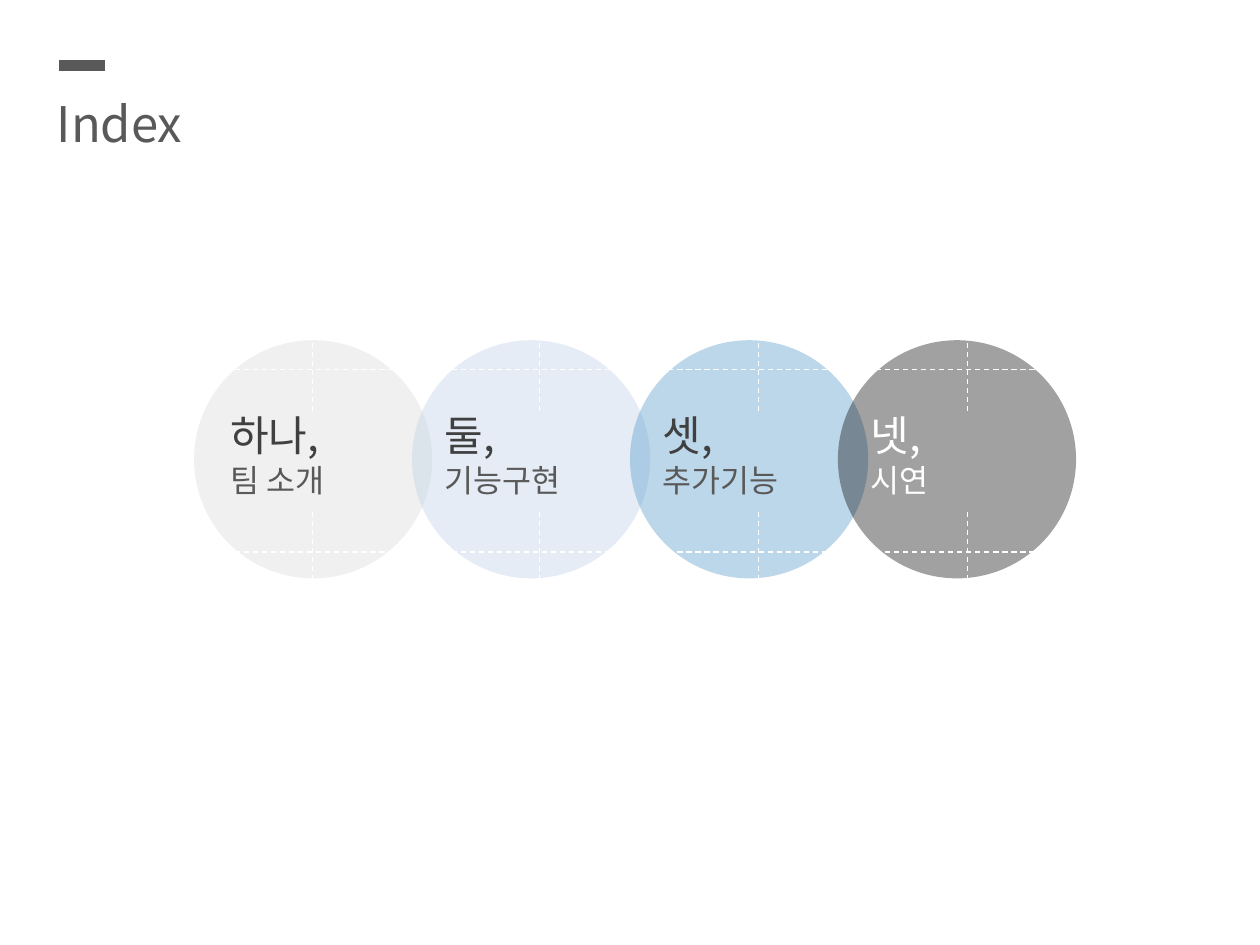
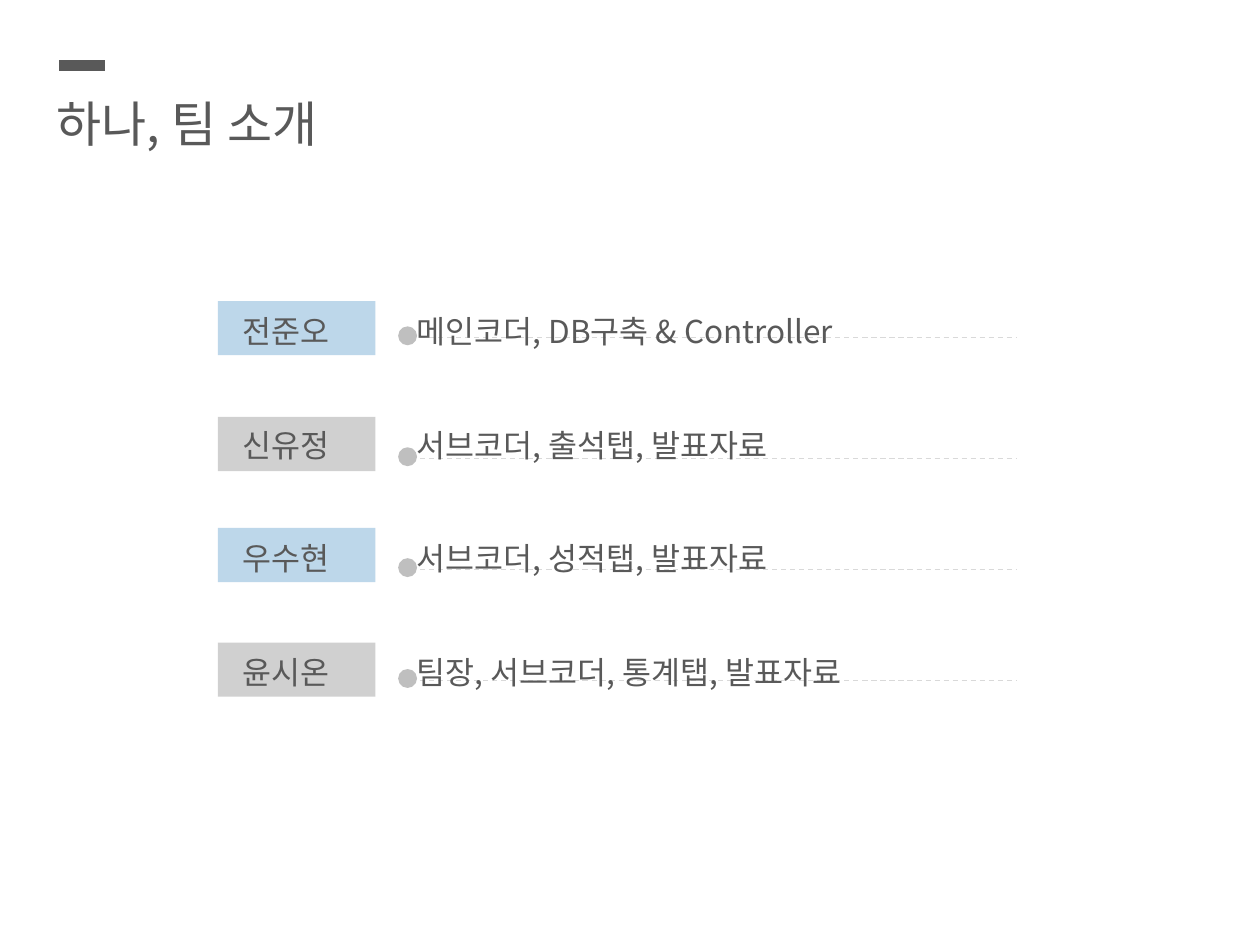
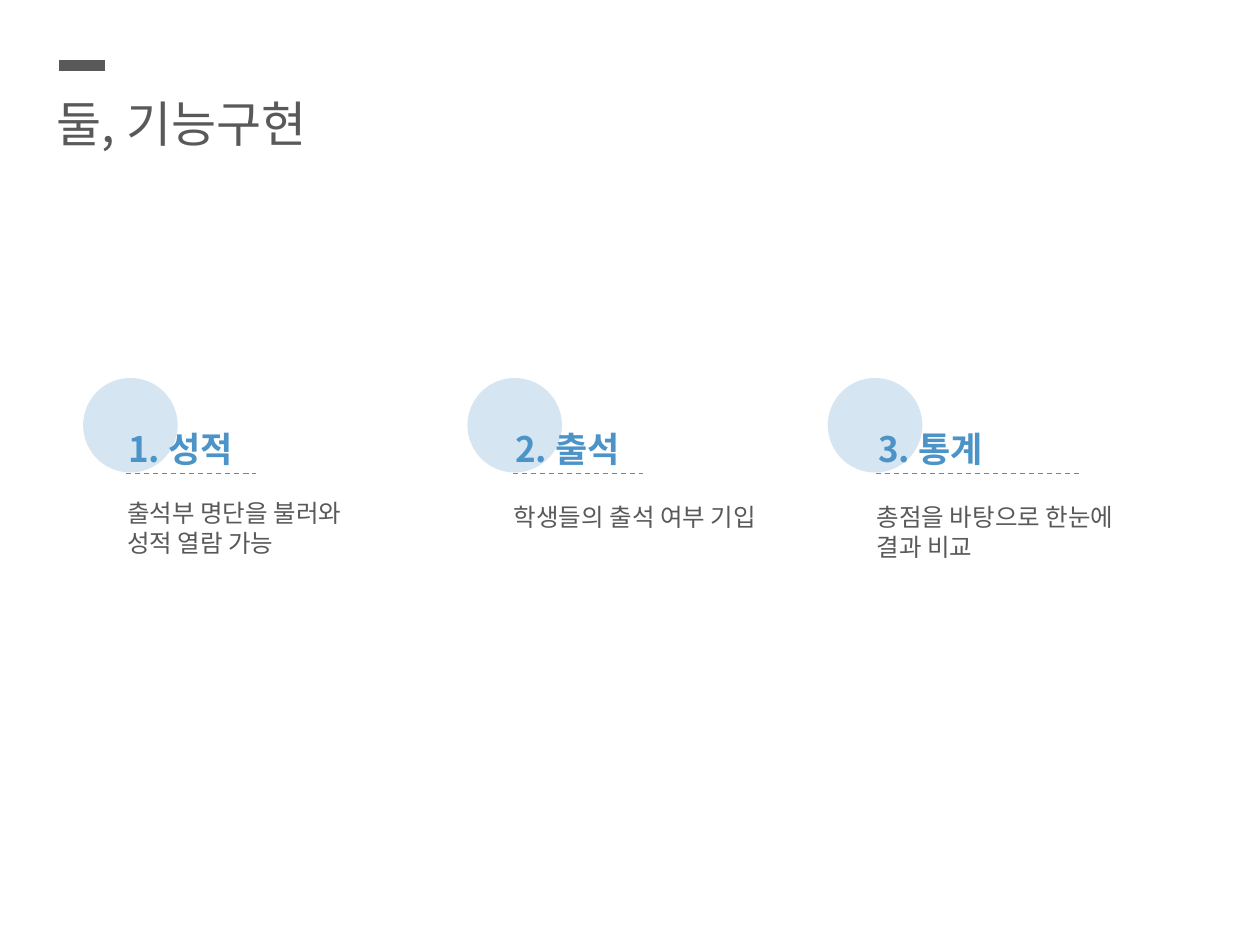
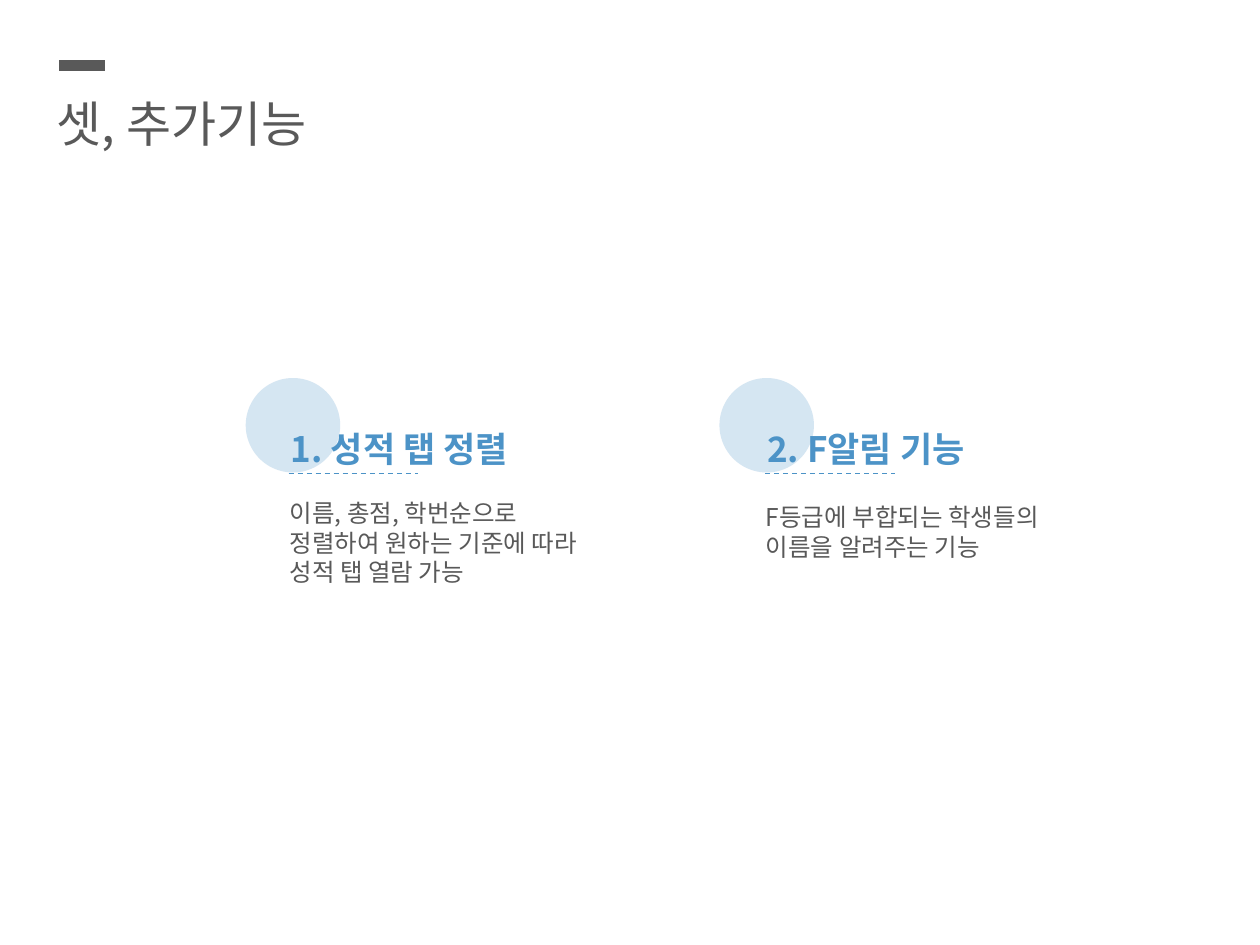
from lxml import etree
from pptx import Presentation
from pptx.dml.color import RGBColor
from pptx.enum import dml, shapes, text
from pptx.oxml import ns
from pptx.util import Inches, Pt

FONT = "Noto Sans CJK KR"
INK = RGBColor(0x40, 0x40, 0x40)
GRAY = RGBColor(0x59, 0x59, 0x59)
MID_GRAY = RGBColor(0x80, 0x80, 0x80)
DOT_GRAY = RGBColor(0xBF, 0xBF, 0xBF)
PALE_GRAY = RGBColor(0xD9, 0xD9, 0xD9)
PALE_BLUE = RGBColor(0xB9, 0xCD, 0xE5)
BLUE = RGBColor(0x4C, 0x93, 0xC7)
BLACK = RGBColor(0, 0, 0)
WHITE = RGBColor(0xFF, 0xFF, 0xFF)


def write(frame, content, size=14, color=GRAY, bold=False, gap=0, tab=None):
    """Fill a text frame, one paragraph a line; gap and size in points."""
    frame.word_wrap = True
    frame.auto_size = text.MSO_AUTO_SIZE.SHAPE_TO_FIT_TEXT
    frame.vertical_anchor = text.MSO_ANCHOR.TOP
    frame.margin_left = frame.margin_right = Inches(0.1)
    # The fixed line height lifts the first baseline; the top margin restores it
    frame.margin_top = Pt(3.6 + 0.08 * size)
    frame.margin_bottom = Pt(3.6)
    for index, line in enumerate(content.split("\n")):
        paragraph = frame.add_paragraph() if index else frame.paragraphs[0]
        paragraph.alignment = text.PP_ALIGN.LEFT
        paragraph.line_spacing = Pt(1.2 * size)
        paragraph.space_before = Pt(gap if index else 0)
        if tab:
            stops = etree.SubElement(paragraph._p.get_or_add_pPr(), ns.qn("a:tabLst"))
            etree.SubElement(stops, ns.qn("a:tab"), pos=str(Inches(tab)), algn="l")
        run = paragraph.add_run()
        run.text = line
        run.font.size = Pt(size)
        run.font.bold = bold
        run.font.color.rgb = color
        run.font.name = FONT
        etree.SubElement(run._r.get_or_add_rPr(), ns.qn("a:ea"), typeface=FONT)


class Deck:
    def __init__(self):
        self.presentation = Presentation()
        self.presentation.slide_width = Inches(10)
        self.presentation.slide_height = Inches(7.5)
        self.slide = None

    def new_slide(self, title):
        layout = self.presentation.slide_layouts[5]
        self.slide = self.presentation.slides.add_slide(layout)
        shape = self.slide.shapes.title
        shape.left, shape.top = Inches(0.35), Inches(0.66)
        shape.width, shape.height = Inches(5.6), Inches(0.57)
        write(shape.text_frame, title, size=28)
        self.line(0.47, 0.52, 0.83, 0.52, GRAY, width=6, dashed=False)

    def line(self, x1, y1, x2, y2, color, width=0.75, dashed=True):
        connector = self.slide.shapes.add_connector(
            shapes.MSO_CONNECTOR.STRAIGHT,
            Inches(x1), Inches(y1), Inches(x2), Inches(y2))
        connector.line.color.rgb = color
        connector.line.width = Pt(width)
        if dashed:
            connector.line.dash_style = dml.MSO_LINE.DASH
        etree.SubElement(connector._element.spPr, ns.qn("a:effectLst"))

    def shape(self, kind, left, top, width, height, color, opacity=100):
        shape = self.slide.shapes.add_shape(
            kind, Inches(left), Inches(top), Inches(width), Inches(height))
        shape.shadow.inherit = False
        shape.line.fill.background()
        shape.fill.solid()
        shape.fill.fore_color.rgb = color
        if opacity < 100:
            rgb = shape._element.spPr.find(".//" + ns.qn("a:srgbClr"))
            etree.SubElement(rgb, ns.qn("a:alpha"), val=str(opacity * 1000))

    def circle(self, left, top, size, color, opacity=100):
        self.shape(shapes.MSO_SHAPE.OVAL, left, top, size, size, color, opacity)

    def rectangle(self, left, top, width, height, color, opacity=100):
        self.shape(shapes.MSO_SHAPE.RECTANGLE, left, top, width, height, color, opacity)

    def text(self, left, top, width, height, content, **style):
        box = self.slide.shapes.add_textbox(
            Inches(left), Inches(top), Inches(width), Inches(height))
        write(box.text_frame, content, **style)

    def feature(self, circle_left, left, heading, body, body_top=3.92,
                heading_width=1.9, rule=1.03, body_width=2.56):
        """Circle, numbered heading on a dashed rule, and its description."""
        self.circle(circle_left, 3, 0.75, BLUE, opacity=23)
        self.text(left, 3.32, heading_width, 0.44, heading, size=20, color=BLUE, bold=True)
        self.line(left + 0.08, 3.76, left + 0.08 + rule, 3.76, BLUE)
        self.text(left - 0.01, body_top, body_width, 0.57, body)


def index_slide(deck):
    deck.new_slide("Index")
    # Circle left, text left, guide x, fill, number colour, topic colour
    chapters = [
        (1.54, 1.73, 2.48, PALE_GRAY, INK, GRAY, "하나,", "팀 소개"),
        (3.27, 3.43, 4.28, PALE_BLUE, INK, GRAY, "둘,", "기능구현"),
        (5.00, 5.16, 6.02, BLUE, INK, GRAY, "셋,", "추가기능"),
        (6.65, 6.81, 7.68, BLACK, WHITE, WHITE, "넷,", "시연"),
    ]
    for circle_left, left, guide, fill, number_color, topic_color, number, topic in chapters:
        deck.circle(circle_left, 2.7, 1.89, fill, opacity=37)
        deck.text(left, 3.17, 1.38, 0.5, number, size=24, color=number_color)
        deck.text(left, 3.59, 1.73, 0.4, topic, size=18, color=topic_color)
        for top in (2.65, 4.06):
            deck.line(guide, top, guide, top + 0.63, WHITE)
    for y in (2.93, 4.38):
        deck.line(1.65, y, 8.46, y, WHITE)


def team_slide(deck):
    deck.new_slide("하나, 팀 소개")
    # Label top, rule height, fill, member
    members = [
        (2.39, 2.68, BLUE, "전준오\t메인코더, DB구축 & Controller"),
        (3.31, 3.64, MID_GRAY, "신유정\t서브코더, 출석탭, 발표자료"),
        (4.19, 4.52, BLUE, "우수현\t서브코더, 성적탭, 발표자료"),
        (5.10, 5.40, MID_GRAY, "윤시온\t팀장, 서브코더, 통계탭, 발표자료"),
    ]
    for top, rule, fill, _ in members:
        deck.rectangle(1.73, top, 1.25, 0.43, fill, opacity=37)
        deck.line(3.19, rule, 8.07, rule, PALE_GRAY)
        deck.circle(3.16, rule - 0.09, 0.15, DOT_GRAY)
    # One text block, so the rows keep an equal pitch of 0.9 inches
    roster = "\n".join(member for *_, member in members)
    deck.text(1.83, 2.41, 6.34, 3.13, roster, size=18, gap=43.2, tab=1.38)


def functions_slide(deck):
    deck.new_slide("둘, 기능구현")
    deck.feature(0.66, 0.92, "1. 성적", "출석부 명단을 불러와\n성적 열람 가능",
                 body_top=3.89, heading_width=1.18, body_width=2.68)
    deck.feature(3.71, 3.99, "2. 출석", "학생들의 출석 여부 기입", heading_width=1.18)
    deck.feature(6.57, 6.87, "3. 통계", "총점을 바탕으로 한눈에\n결과 비교",
                 heading_width=1.99, rule=1.61)


def extras_slide(deck):
    deck.new_slide("셋, 추가기능")
    deck.feature(1.95, 2.21, "1. 성적 탭 정렬",
                 "이름, 총점, 학번순으로 정렬하여 원하는 기준에 따라 성적 탭 열람 가능",
                 body_top=3.89, heading_width=2.45, body_width=2.68)
    deck.feature(5.71, 5.99, "2. F알림 기능", "F등급에 부합되는 학생들의\n이름을 알려주는 기능")


def main():
    deck = Deck()
    for build in (index_slide, team_slide, functions_slide, extras_slide):
        build(deck)
    deck.presentation.save("out.pptx")


if __name__ == "__main__":
    main()
